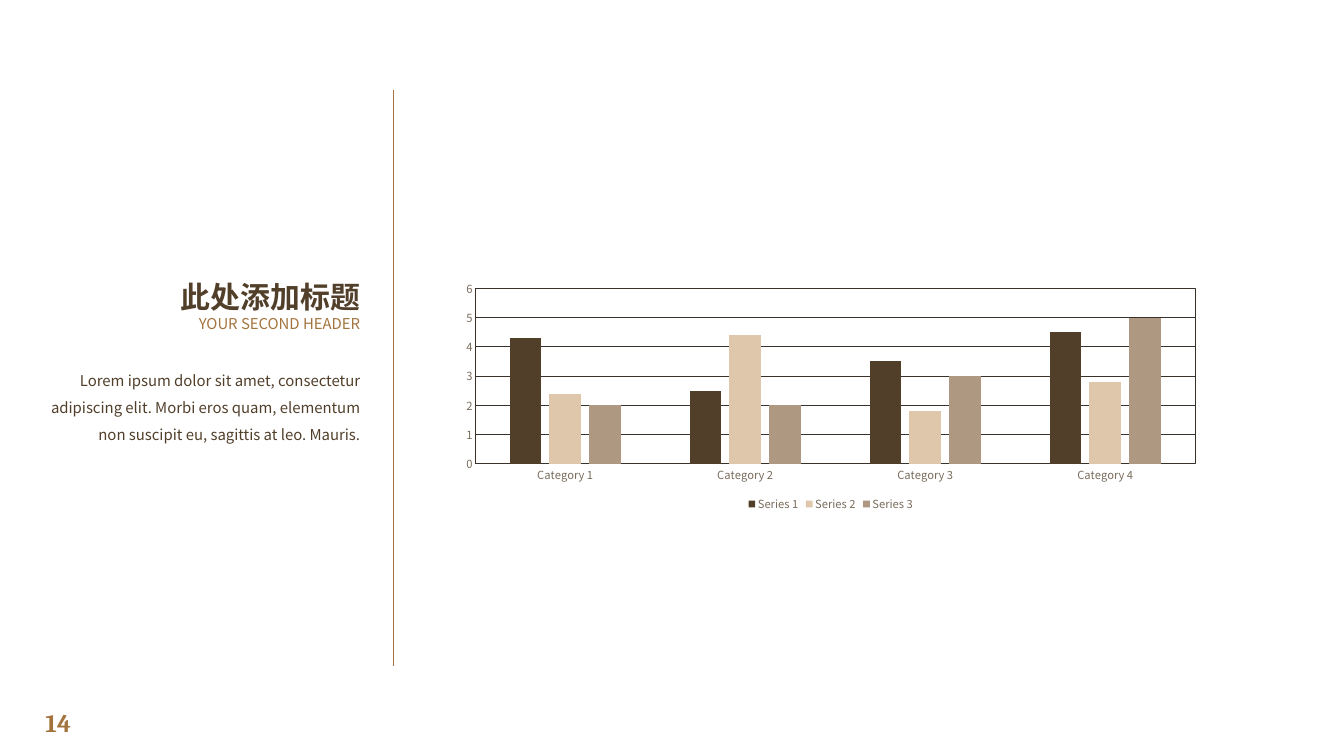
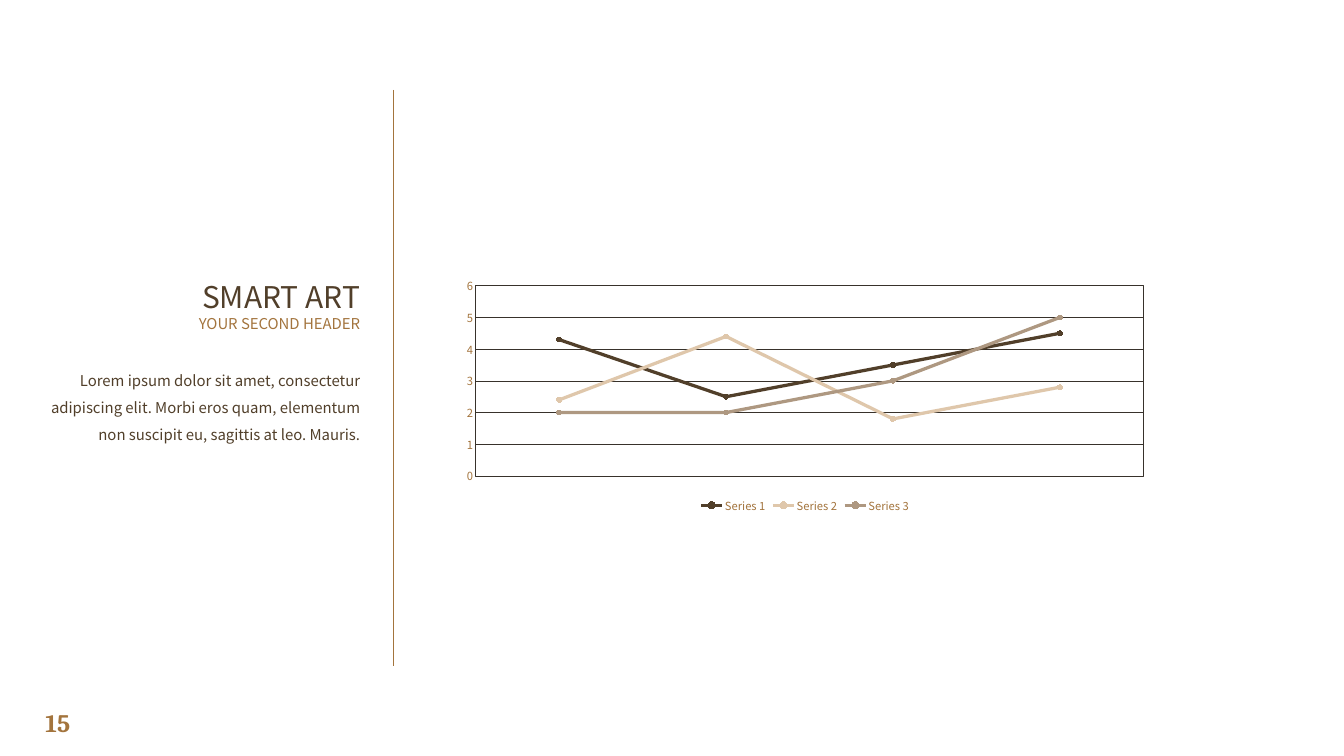
import pptx
import pptx.util
import pptx.chart.data
import pptx.dml.color
import pptx.enum.chart
import pptx.enum.shapes
import pptx.enum.text
import pptx.oxml
import pptx.oxml.ns
from lxml import etree

Cm, Pt = pptx.util.Cm, pptx.util.Pt
RGBColor = pptx.dml.color.RGBColor
Kind = pptx.enum.chart.XL_CHART_TYPE
Tick = pptx.enum.chart.XL_TICK_MARK
Align = pptx.enum.text.PP_ALIGN
Anchor = pptx.enum.text.MSO_ANCHOR
qn = pptx.oxml.ns.qn

BROWN = RGBColor(0x51, 0x3F, 0x2A)
GOLD = RGBColor(0xA3, 0x74, 0x3D)
SAND = RGBColor(0xDF, 0xC7, 0xAB)
TAUPE = RGBColor(0xAE, 0x98, 0x81)
GREY = RGBColor(0x79, 0x6C, 0x5C)
DARK = RGBColor(0x38, 0x32, 0x2B)
SANS, SERIF = "Noto Sans CJK SC", "Cambria"

HEADER = "YOUR SECOND HEADER"
BODY = ("Lorem ipsum dolor sit amet, consectetur adipiscing elit. "
        "Morbi eros quam, elementum non suscipit eu, sagittis at leo. Mauris.")
SERIES = [
    ("Series 1", (4.3, 2.5, 3.5, 4.5), BROWN),
    ("Series 2", (2.4, 4.4, 1.8, 2.8), SAND),
    ("Series 3", (2, 2, 3, 5), TAUPE),
]
PAGES = [
    dict(num="14", title="此处添加标题", bold=True, kind=Kind.COLUMN_CLUSTERED,
         cats=[f"Category {n}" for n in range(1, 5)], ink=GREY,
         box=(17.05, 10.4, 28.7, 9.07)),
    dict(num="15", title="SMART ART", bold=False, kind=Kind.LINE_MARKERS,
         cats=["1", "2", "3", "4"], ink=GOLD,
         box=(17.11, 10.3, 26.64, 9.22)),
]

LEFT, WIDE = 1.47, 12.4
RULE_X, RULE_TOP, RULE_END = 14.88, 3.4, 25.17


def place(shape, box):
    shape.left, shape.top, shape.width, shape.height = map(Cm, box)


def style(font, size, color, face=SANS, bold=False):
    font.size, font.name, font.bold = Pt(size), face, bold
    font.color.rgb = color


def write(shape, text, size, color, face=SANS, bold=False,
          align=Align.RIGHT, space=1, anchor=Anchor.TOP):
    frame = shape.text_frame
    frame.word_wrap = True
    frame.auto_size = pptx.enum.text.MSO_AUTO_SIZE.NONE
    frame.vertical_anchor = anchor
    frame.text = text
    para = frame.paragraphs[0]
    para.alignment, para.line_spacing, para.space_before = align, space, Pt(0)
    style(para.font, size, color, face, bold)
    props = para._p.find(qn("a:pPr")).find(qn("a:defRPr"))
    etree.SubElement(props, qn("a:ea"), typeface=face)


def add_text(slide, box, text, size, color, **look):
    write(slide.shapes.add_textbox(*map(Cm, box)), text, size, color, **look)


def add_rule(slide):
    rule = slide.shapes.add_connector(
        pptx.enum.shapes.MSO_CONNECTOR.STRAIGHT,
        Cm(RULE_X), Cm(RULE_TOP), Cm(RULE_X), Cm(RULE_END))
    rule.line.color.rgb = GOLD
    rule.line.width = Pt(0.5)
    etree.SubElement(rule._element.spPr, qn("a:effectLst"))


def frame_plot(chart):
    area = chart._chartSpace.find(".//" + qn("c:plotArea"))
    area.append(pptx.oxml.parse_xml(
        f'<c:spPr {pptx.oxml.ns.nsdecls("c", "a")}><a:noFill/>'
        f'<a:ln w="{Pt(0.75)}"><a:solidFill><a:srgbClr val="{DARK}"/>'
        '</a:solidFill></a:ln></c:spPr>'))


def add_graph(slide, kind, cats, ink, box):
    data = pptx.chart.data.CategoryChartData()
    data.categories = cats
    for name, vals, _ in SERIES:
        data.add_series(name, vals)
    chart = slide.shapes.add_chart(kind, *map(Cm, box), data).chart
    style(chart.font, 10, ink)
    chart.has_title = False
    chart.has_legend = True
    chart.legend.position = pptx.enum.chart.XL_LEGEND_POSITION.BOTTOM
    chart.legend.include_in_layout = False
    style(chart.legend.font, 12, ink)

    cat, val = chart.category_axis, chart.value_axis
    for axis in (cat, val):
        axis.major_tick_mark = axis.minor_tick_mark = Tick.NONE
        style(axis.tick_labels.font, 12, ink)
    val.minimum_scale, val.maximum_scale, val.major_unit = 0, 6, 1
    val.format.line.fill.background()
    for line in (val.major_gridlines.format.line, cat.format.line):
        line.color.rgb, line.width = DARK, Pt(0.75)

    plot = chart.plots[0]
    plot.vary_by_categories = False
    bars = kind == Kind.COLUMN_CLUSTERED
    cat.visible = bars
    if bars:
        plot.gap_width, plot.overlap = 219, -27
    for item, (_, _, color) in zip(plot.series, SERIES):
        if bars:
            fill = item.format.fill
        else:
            item.smooth = False
            item.format.line.color.rgb = color
            item.format.line.width = Pt(3.5)
            item.marker.style = pptx.enum.chart.XL_MARKER_STYLE.CIRCLE
            item.marker.size = 5
            item.marker.format.line.color.rgb = color
            fill = item.marker.format.fill
        fill.solid()
        fill.fore_color.rgb = color
    frame_plot(chart)


def add_page(deck, num, title, bold, **graph):
    slide = deck.slides.add_slide(deck.slide_layouts[5])
    add_rule(slide)
    add_text(slide, (LEFT, 26.62, 1.8, 1.42), num, 27, GOLD,
             face=SERIF, bold=True, align=Align.LEFT)
    head = slide.shapes.title
    place(head, (LEFT, 10.46, WIDE, 1.57))
    write(head, title, 32, BROWN, bold=bold, space=0.9, anchor=Anchor.BOTTOM)
    add_text(slide, (LEFT, 11.84, WIDE, 1.07), HEADER, 16, GOLD, space=0.9)
    add_text(slide, (LEFT, 13.58, WIDE, 7.39), BODY, 16, BROWN, space=1.5)
    add_graph(slide, **graph)


def main():
    deck = pptx.Presentation()
    deck.slide_width, deck.slide_height = Cm(50.8), Cm(28.58)
    for page in PAGES:
        add_page(deck, **page)
    deck.save("out.pptx")


if __name__ == "__main__":
    main()
